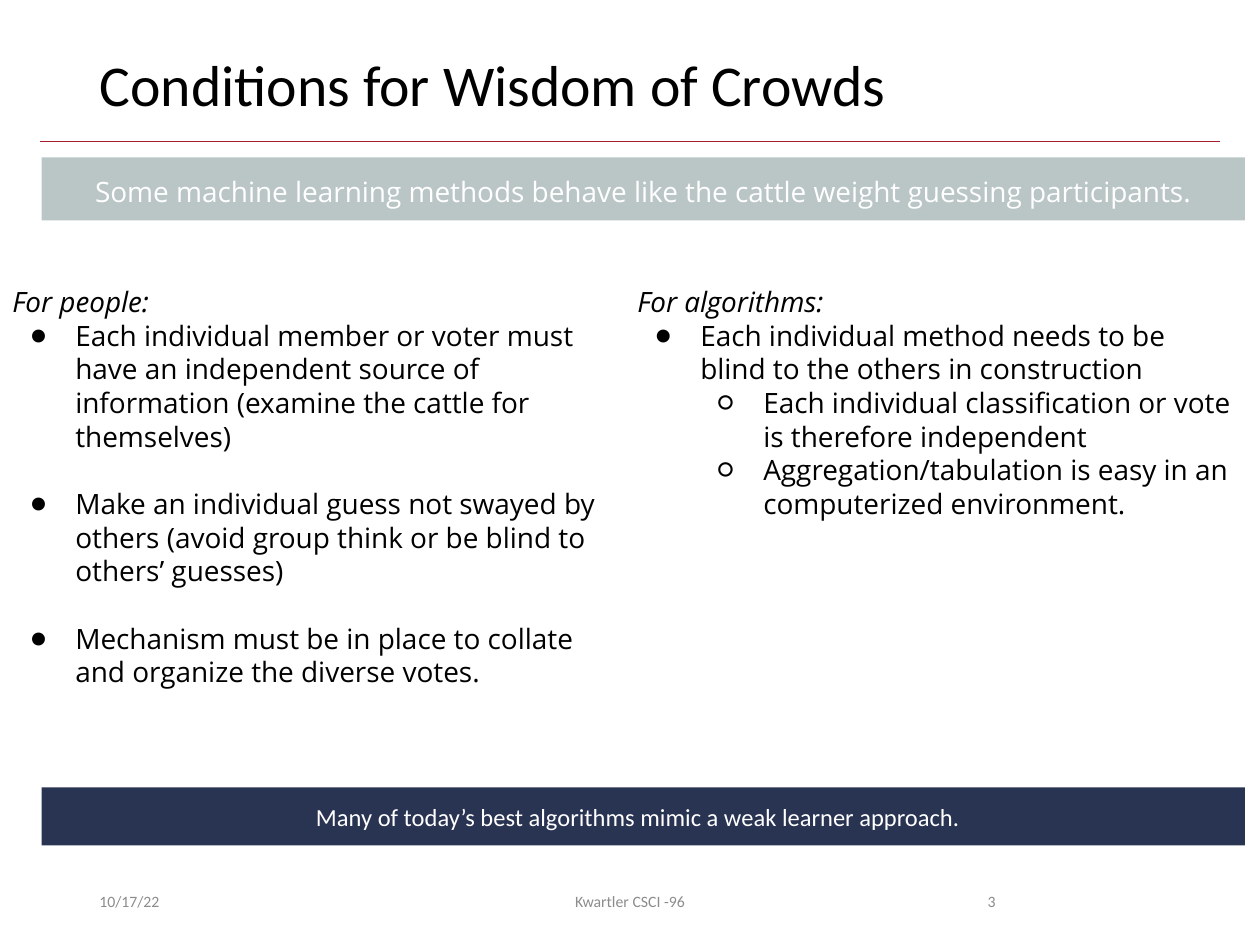
from lxml import etree
from pptx import Presentation
from pptx.dml.color import RGBColor
from pptx.enum import shapes, text
from pptx.oxml import ns
from pptx.util import Inches, Pt

COLORS = {
    "rule": "A51C30",
    "pale": "BAC5C6",
    "navy": "293352",
    "white": "FFFFFF",
    "black": "000000",
    "gray": "8C8C8C",
}
BULLETS = ["●", "○"]
BODY_FONT = "Open Sans"
BULLET_FONT = "Calibri"
PARAGRAPH_GAP = 19.4


def color(name):
    return RGBColor.from_string(COLORS[name])


def write(paragraph, words, size=16, font="Calibri", fill="black", italic=False,
          align=text.PP_ALIGN.LEFT, spacing=1.0, before=0):
    paragraph.alignment = align
    paragraph.line_spacing = spacing
    paragraph.space_before = Pt(before)
    run = paragraph.add_run()
    run.text = words
    run.font.size = Pt(size)
    run.font.name = font
    run.font.italic = italic
    run.font.color.rgb = color(fill)


def add_bullet(paragraph, level):
    paragraph.level = level
    properties = paragraph._p.get_or_add_pPr()
    properties.set("marL", str(Inches(0.5 * (level + 1))))
    properties.set("indent", str(Inches(-0.36)))
    etree.SubElement(properties, ns.qn("a:buFont")).set("typeface", BULLET_FONT)
    etree.SubElement(properties, ns.qn("a:buChar")).set("char", BULLETS[level])


class SlideBuilder:
    def __init__(self, presentation):
        self.slide = presentation.slides.add_slide(presentation.slide_layouts[5])

    def frame(self, shape, anchor, sides=0.1, ends=0.05):
        frame = shape.text_frame
        frame.word_wrap = True
        frame.auto_size = text.MSO_AUTO_SIZE.NONE
        frame.vertical_anchor = anchor
        frame.margin_left = frame.margin_right = Inches(sides)
        frame.margin_top = frame.margin_bottom = Inches(ends)
        return frame

    def title(self, words, box):
        shape = self.slide.shapes.title
        shape.left, shape.top, shape.width, shape.height = map(Inches, box)
        frame = self.frame(shape, text.MSO_ANCHOR.TOP)
        write(frame.paragraphs[0], words, size=33, spacing=0.9)

    def rule(self, left, right, top):
        line = self.slide.shapes.add_connector(
            shapes.MSO_CONNECTOR.STRAIGHT,
            Inches(left), Inches(top), Inches(right), Inches(top))
        line.line.color.rgb = color("rule")
        line.line.width = Pt(0.5)
        etree.SubElement(line._element.spPr, ns.qn("a:effectLst"))

    def banner(self, words, top, height, fill, right_margin=0.1, **style):
        shape = self.slide.shapes.add_shape(
            shapes.MSO_SHAPE.RECTANGLE,
            Inches(0.33), Inches(top), Inches(9.55), Inches(height))
        shape.shadow.inherit = False
        shape.fill.solid()
        shape.fill.fore_color.rgb = color(fill)
        shape.line.fill.background()
        frame = self.frame(shape, text.MSO_ANCHOR.MIDDLE)
        frame.margin_right = Inches(right_margin)
        write(frame.paragraphs[0], words, fill="white",
              align=text.PP_ALIGN.CENTER, **style)

    def footer(self, words, left, width, align):
        shape = self.slide.shapes.add_textbox(
            Inches(left), Inches(6.95), Inches(width), Inches(0.4))
        frame = self.frame(shape, text.MSO_ANCHOR.MIDDLE)
        write(frame.paragraphs[0], words, size=9, fill="gray", align=align)

    def column(self, heading, items, left, gap=0):
        """Add an italic heading over (level, words) bullets, gap points apart."""
        shape = self.slide.shapes.add_textbox(
            Inches(left), Inches(2.16), Inches(4.96), Inches(3.37))
        frame = self.frame(shape, text.MSO_ANCHOR.TOP, ends=0.1)
        write(frame.paragraphs[0], heading, font=BODY_FONT, italic=True)
        for index, (level, words) in enumerate(items):
            paragraph = frame.add_paragraph()
            add_bullet(paragraph, level)
            write(paragraph, words, font=BODY_FONT, before=gap if index else 0)


def main():
    presentation = Presentation()
    presentation.slide_width = Inches(10)
    presentation.slide_height = Inches(7.5)
    builder = SlideBuilder(presentation)

    builder.rule(0.32, 9.68, 1.12)
    builder.title("Conditions for Wisdom of Crowds", (0.69, 0.4, 8.62, 0.65))
    builder.footer("10/17/22", 0.69, 2.25, text.PP_ALIGN.LEFT)
    builder.footer("Kwartler CSCI -96", 3.31, 3.38, text.PP_ALIGN.CENTER)
    builder.footer("3", 7.06, 0.94, text.PP_ALIGN.RIGHT)

    builder.banner(
        "Some machine learning methods behave like the cattle weight guessing participants.",
        1.25, 0.5, "pale", font=BODY_FONT, spacing=1.15)
    builder.banner("Many of today’s best algorithms mimic a weak learner approach.",
                   6.25, 0.46, "navy", right_margin=0.18, size=14)

    builder.column("For people:", [
        (0, "Each individual member or voter must have an independent source of "
            "information (examine the cattle for themselves)"),
        (0, "Make an individual guess not swayed by others (avoid group think or "
            "be blind to others’ guesses)"),
        (0, "Mechanism must be in place to collate and organize the diverse votes."),
    ], left=0, gap=PARAGRAPH_GAP)
    builder.column("For algorithms:", [
        (0, "Each individual method needs to be blind to the others in construction"),
        (1, "Each individual classification or vote is therefore independent"),
        (1, "Aggregation/tabulation is easy in an computerized environment."),
    ], left=4.96)

    presentation.save("out.pptx")


if __name__ == "__main__":
    main()
